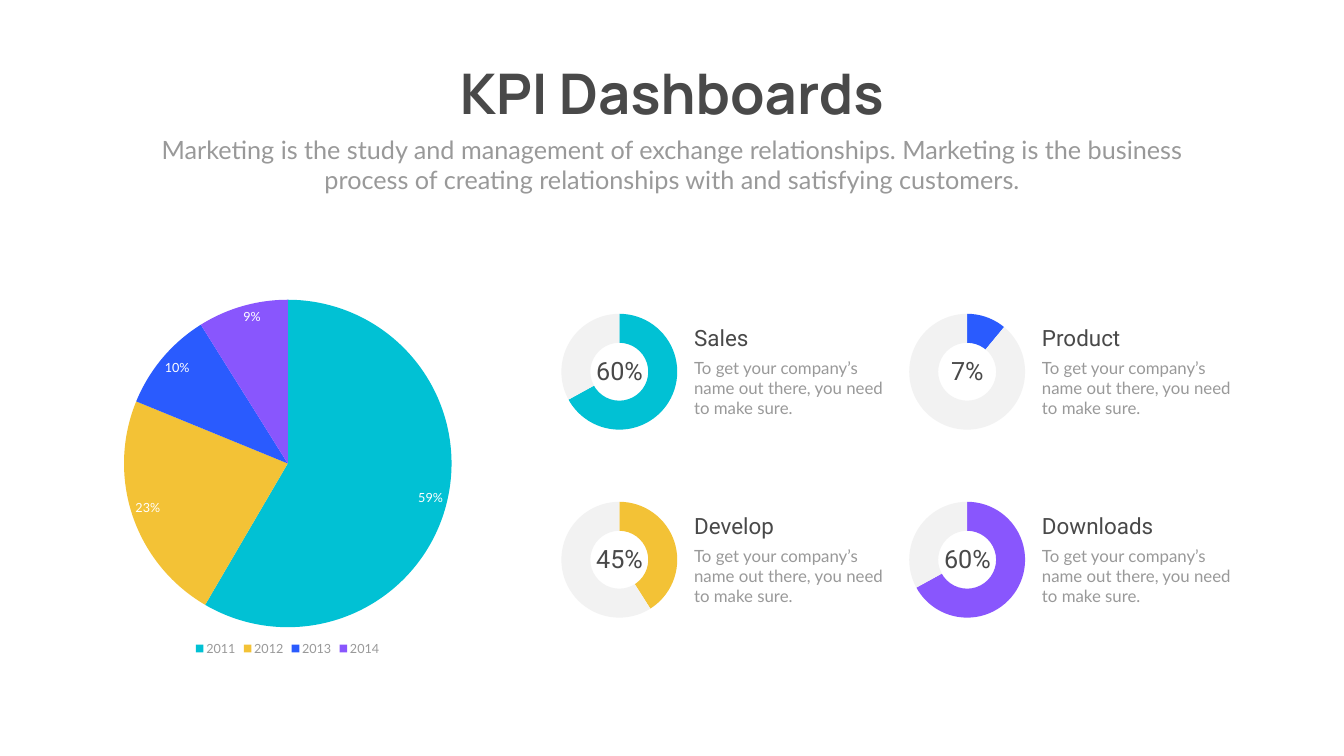
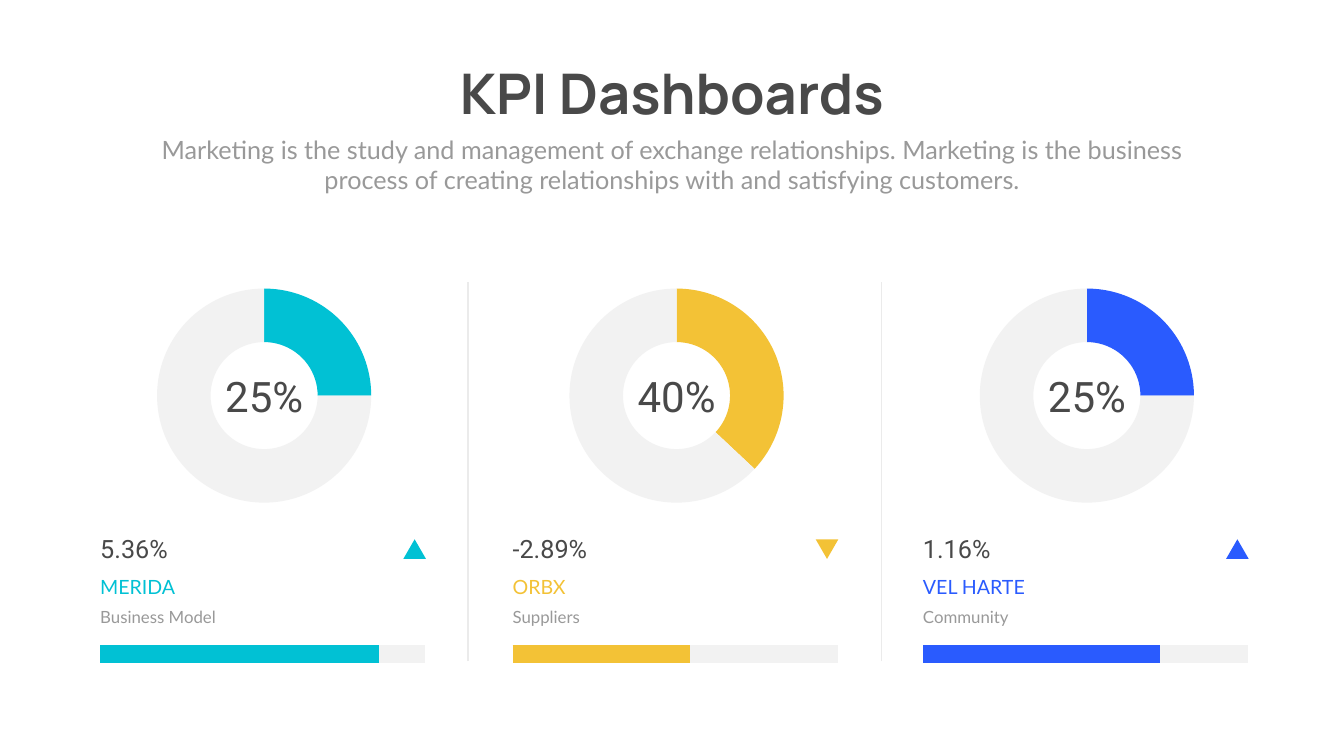
from pptx import Presentation
from pptx.chart.data import CategoryChartData
from pptx.dml.color import RGBColor
from pptx.enum.chart import XL_CHART_TYPE, XL_LABEL_POSITION, XL_LEGEND_POSITION
from pptx.enum.shapes import MSO_CONNECTOR, MSO_SHAPE
from pptx.enum.text import MSO_AUTO_SIZE, PP_ALIGN
from pptx.oxml import parse_xml
from pptx.oxml.ns import nsdecls, qn
from pptx.util import Inches, Pt
from lxml.etree import SubElement

TEAL, YELLOW, BLUE, PURPLE = "01C1D4", "F3C236", "2A5BFE", "8956FD"
DARK, GRAY, TRACK, DIVIDER, WHITE = "494949", "999999", "F2F2F2", "EBEBEB", "FFFFFF"
HEADING_FONT, BODY_FONT, FIGURE_FONT = "Manrope", "Lato", "Roboto"

TITLE = "KPI Dashboards"
SUBTITLE = ("Marketing is the study and management of exchange relationships. "
            "Marketing is the business process of creating relationships with "
            "and satisfying customers.")
KPI_NOTE = "To get your company’s name out there, you need to make sure."


def color(value):
    """Turn a hex string into a colour."""
    return RGBColor.from_string(value)


def style_font(font, size, name, fill):
    """Set the size, typeface and colour of a font."""
    font.size = Pt(size)
    font.name = name
    font.color.rgb = color(fill)


class Dashboard:
    """Hold the presentation, its style and the current slide."""

    def __init__(self):
        """Start a wide presentation."""
        self.presentation = Presentation()
        self.presentation.slide_width = Inches(26.66)
        self.presentation.slide_height = Inches(15)
        self.slide = None

    def add_slide(self):
        """Add a blank slide with the shared title and subtitle."""
        self.slide = self.presentation.slides.add_slide(self.presentation.slide_layouts[6])
        self.text(TITLE, 8.67, 1.12, 9.32, 1.45, size=80, font=HEADING_FONT,
                  bold=True, centered=True, wrap=False)
        self.text(SUBTITLE, 2.92, 2.61, 20.82, 1.31, size=36, font=BODY_FONT,
                  fill=GRAY, centered=True)

    def text(self, text, left, top, width, height, size=36, font=FIGURE_FONT, fill=DARK,
             bold=False, centered=False, wrap=True, spacing=None):
        """Add a text box with one formatted paragraph."""
        shape = self.slide.shapes.add_textbox(
            Inches(left), Inches(top), Inches(width), Inches(height))
        frame = shape.text_frame
        frame.word_wrap = wrap
        frame.auto_size = MSO_AUTO_SIZE.SHAPE_TO_FIT_TEXT
        paragraph = frame.paragraphs[0]
        paragraph.alignment = PP_ALIGN.CENTER if centered else PP_ALIGN.LEFT
        if spacing:
            paragraph.line_spacing = Pt(spacing)
        run = paragraph.add_run()
        run.text = text
        run.font.bold = bold
        style_font(run.font, size, font, fill)

    def line(self, start, end, fill, width):
        """Add a straight line between two points."""
        connector = self.slide.shapes.add_connector(
            MSO_CONNECTOR.STRAIGHT, *(Inches(value) for value in (*start, *end)))
        connector.line.color.rgb = color(fill)
        connector.line.width = Pt(width)
        SubElement(connector.element.spPr, qn("a:effectLst"))

    def triangle(self, left, top, fill, falling=False):
        """Add a trend marker that points up or down."""
        shape = self.slide.shapes.add_shape(
            MSO_SHAPE.ISOSCELES_TRIANGLE, Inches(left), Inches(top), Inches(0.45), Inches(0.39))
        shape.shadow.inherit = False
        shape.fill.solid()
        shape.fill.fore_color.rgb = color(fill)
        shape.line.fill.background()
        shape.rotation = 180 if falling else 0

    def round_chart(self, kind, box, categories, values, fills, diameter, plot_top=None):
        """Add a pie or doughnut whose circle has a fixed diameter."""
        left, top, width, height = box
        data = CategoryChartData()
        data.categories = categories
        data.add_series("Series 1", values)
        chart = self.slide.shapes.add_chart(
            kind, *(Inches(value) for value in box), data).chart
        chart.has_title = False
        chart.has_legend = False
        style_font(chart.font, 10, "Calibri", GRAY)
        plot = chart.plots[0]
        plot.vary_by_categories = True
        for index, fill in enumerate(fills):
            point_format = plot.series[0].points[index].format
            point_format.fill.solid()
            point_format.fill.fore_color.rgb = color(fill)
            point_format.line.fill.background()
        if plot_top is None:
            plot_top = (height - diameter) / 2
        self.place_plot(chart, (width - diameter) / 2 / width, plot_top / height,
                        diameter / width, diameter / height)
        return chart

    def place_plot(self, chart, x, y, w, h):
        """Fix the plot area at fractions of the chart box."""
        area = chart.element.find(".//" + qn("c:plotArea"))
        for layout in area.findall(qn("c:layout")):
            area.remove(layout)
        fractions = "".join(f'<c:{name} val="{value:.3f}"/>'
                            for name, value in zip("xywh", (x, y, w, h)))
        area.insert(0, parse_xml(
            f'<c:layout {nsdecls("c")}><c:manualLayout><c:layoutTarget val="inner"/>'
            f'<c:xMode val="edge"/><c:yMode val="edge"/>{fractions}'
            '</c:manualLayout></c:layout>'))

    def pie(self, box, categories, values, fills, diameter, plot_top):
        """Add a pie with percentages and a legend below."""
        chart = self.round_chart(XL_CHART_TYPE.PIE, box, categories, values, fills,
                                 diameter, plot_top)
        style_font(chart.font, 18, BODY_FONT, WHITE)
        chart.has_legend = True
        chart.legend.position = XL_LEGEND_POSITION.BOTTOM
        chart.legend.include_in_layout = False
        style_font(chart.legend.font, 18, BODY_FONT, GRAY)
        labels = chart.plots[0].series[0].data_labels
        labels.show_value = True
        labels.number_format = '0"%"'
        labels.number_format_is_linked = False
        labels.position = XL_LABEL_POSITION.INSIDE_END
        style_font(labels.font, 18, BODY_FONT, WHITE)

    def doughnut(self, box, share, fill, diameter, hole):
        """Add a ring with one filled share."""
        chart = self.round_chart(XL_CHART_TYPE.DOUGHNUT, box, ["1", "2"],
                                 [share, 100 - share], [fill, TRACK], diameter)
        chart.element.find(".//" + qn("c:holeSize")).set("val", str(hole))

    def kpi(self, left, top, name, figure, share, fill):
        """Add a small ring with its figure, name and note."""
        self.doughnut((left, top, 2.75, 2.57), share, fill, 2.3, 75)
        self.text(figure, left + 0.61, top + 0.92, 1.54, 0.71, centered=True)
        self.text(name, left + 2.76, top + 0.3, 4.99, 0.64, size=32)
        self.text(KPI_NOTE, left + 2.76, top + 0.95, 4.18, 1.31, size=24,
                  font=BODY_FONT, fill=GRAY)

    def market(self, left, figure, share, change, name, group, progress, fill):
        """Add a market column with ring, change, labels and progress bar."""
        self.doughnut((left + 0.92, 5.59, 4.66, 4.52), share, fill, 4.25, 80)
        self.text(figure, left + 1.44, 7.31, 3.62, 1.11, size=60, centered=True)
        label_left = left - 0.1
        self.text(change, label_left, 10.54, 2.04, 0.71)
        self.text(name, label_left, 11.26, 2.93, 0.62, size=28, font=BODY_FONT,
                  fill=fill, spacing=40.8)
        self.text(group, label_left, 11.82, 2.93, 0.6, size=24, font=BODY_FONT,
                  fill=GRAY, spacing=40.8)
        self.triangle(left + 6.01, 10.7, fill, falling=change.startswith("-"))
        for length, bar_fill in ((6.45, TRACK), (progress, fill)):
            self.line((left, 12.98), (left + length, 12.98), bar_fill, 25)


def main():
    """Build both dashboards and save them."""
    dashboard = Dashboard()

    dashboard.add_slide()
    dashboard.pie((1.99, 5.81, 7.43, 7.26), ["2011", "2012", "2013", "2014"],
                  [59, 23, 10, 9], [TEAL, YELLOW, BLUE, PURPLE], diameter=6.5, plot_top=0.14)
    kpis = [("Sales", "60%", 67, TEAL), ("Product", "7%", 11, BLUE),
            ("Develop", "45%", 41, YELLOW), ("Downloads", "60%", 67, PURPLE)]
    for index, kpi in enumerate(kpis):
        row, column = divmod(index, 2)
        dashboard.kpi(10.91 + 6.9 * column, 6.09 + 3.73 * row, *kpi)

    dashboard.add_slide()
    markets = [(1.99, "25%", 25, "5.36%", "MERIDA", "Business Model", 5.52, TEAL),
               (10.17, "40%", 37, "-2.89%", "ORBX", "Suppliers", 3.51, YELLOW),
               (18.31, "25%", 25, "1.16%", "VEL HARTE", "Community", 4.71, BLUE)]
    for market in markets:
        dashboard.market(*market)
    for divider in (9.28, 17.49):
        dashboard.line((divider, 13.12), (divider, 5.59), DIVIDER, 2)

    dashboard.presentation.save("out.pptx")


if __name__ == "__main__":
    main()
